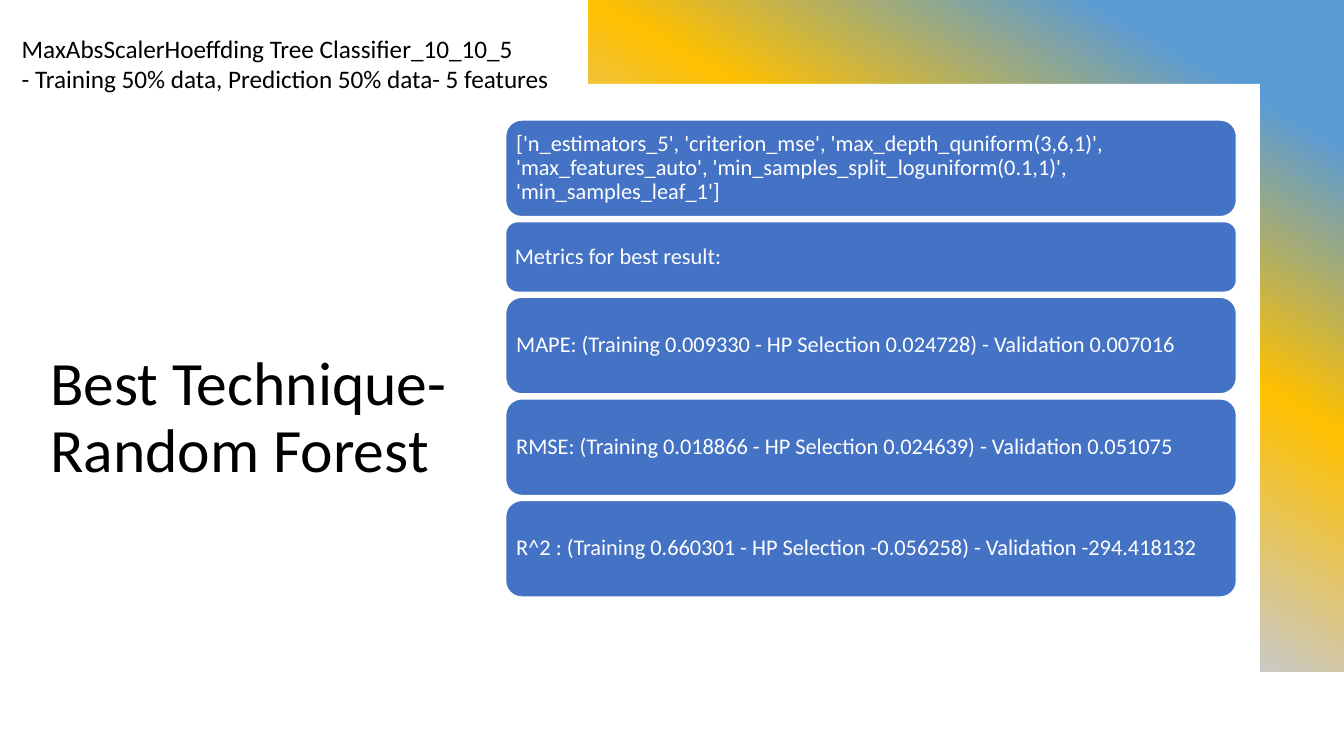
from lxml.etree import SubElement
from pptx import Presentation
from pptx.dml.color import RGBColor
from pptx.enum.shapes import MSO_SHAPE
from pptx.enum.text import MSO_ANCHOR, PP_ALIGN
from pptx.oxml.ns import qn
from pptx.util import Inches, Pt

THEME = {
    "font": "Calibri",
    "black": RGBColor.from_string("000000"),
    "white": RGBColor.from_string("FFFFFF"),
    "card": RGBColor.from_string("4472C4"),
    "gradient": [(10, "5B9BD5"), (30, "FFC000"), (50, "C9C9C9"), (70, "ED7D31"), (90, "4472C4")],
    "title": Pt(44),
    "caption": Pt(18),
    "body": Pt(16),
}

presentation = Presentation()
presentation.slide_width = Inches(13.33)
presentation.slide_height = Inches(7.5)
slide = presentation.slides.add_slide(presentation.slide_layouts[6])
shapes = slide.shapes

COLUMNS = 16
UNIT = presentation.slide_width / COLUMNS


def grid(*units):
    return [round(value * UNIT) for value in units]


def write(shape, text, size, color, anchor, spacing):
    frame = shape.text_frame
    frame.word_wrap = True
    frame.vertical_anchor = anchor
    frame.text = text
    for paragraph in frame.paragraphs:
        paragraph.alignment = PP_ALIGN.LEFT
        paragraph.line_spacing = spacing
        paragraph.font.name = THEME["font"]
        paragraph.font.size = size
        paragraph.font.color.rgb = color


backdrop = shapes.add_shape(MSO_SHAPE.RECTANGLE, *grid(0, 0, COLUMNS, 8))
backdrop.shadow.inherit = False
backdrop.line.fill.background()
backdrop.fill.gradient()
backdrop.fill.gradient_angle = 240
stops = backdrop.element.spPr.find(qn("a:gradFill")).find(qn("a:gsLst"))
for stop in list(stops):
    stops.remove(stop)
for percent, color in THEME["gradient"]:
    stop = SubElement(stops, qn("a:gs"), pos=str(percent * 1000))
    SubElement(stop, qn("a:srgbClr"), val=color)

builder = shapes.build_freeform(0, 0, scale=UNIT)
builder.add_line_segments([(7, 0), (7, 1), (15, 1), (15, 8.1), (0, 8.1)], close=True)
panel = builder.convert_to_shape()
panel.shadow.inherit = False
panel.fill.solid()
panel.fill.fore_color.rgb = THEME["white"]
panel.line.fill.background()

title = shapes.add_textbox(*grid(0.48, 2.17, 6.01, 3.67))
write(title, "Best Technique- Random Forest", THEME["title"], THEME["black"], MSO_ANCHOR.BOTTOM, 0.9)

CARD_LEFT, CARD_WIDTH, CARD_GAP, CARD_INSET = 6.02, 8.7, 0.06, 0.14
TALL, SHORT = 1.15, 0.84
cards = [
    (TALL, "['n_estimators_5', 'criterion_mse', 'max_depth_quniform(3,6,1)', "
           "'max_features_auto', 'min_samples_split_loguniform(0.1,1)', 'min_samples_leaf_1']"),
    (SHORT, "Metrics for best result:"),
    (TALL, "MAPE: (Training 0.009330 - HP Selection 0.024728) - Validation 0.007016"),
    (TALL, "RMSE: (Training 0.018866 - HP Selection 0.024639) - Validation 0.051075"),
    (TALL, "R^2 : (Training 0.660301 - HP Selection -0.056258) - Validation -294.418132"),
]
top = 1.43
for height, text in cards:
    card = shapes.add_shape(MSO_SHAPE.ROUNDED_RECTANGLE, *grid(CARD_LEFT, top, CARD_WIDTH, height))
    card.shadow.inherit = False
    card.fill.solid()
    card.fill.fore_color.rgb = THEME["card"]
    card.line.color.rgb = THEME["white"]
    card.line.width = Pt(1)
    frame = card.text_frame
    frame.margin_left, frame.margin_right = grid(CARD_INSET / 2, CARD_INSET / 2)
    frame.margin_top = frame.margin_bottom = 0
    write(card, text, THEME["body"], THEME["white"], MSO_ANCHOR.MIDDLE, 0.9)
    top += height + CARD_GAP

caption = shapes.add_textbox(*grid(0.14, 0.34, 8, 0.85))
write(
    caption,
    "MaxAbsScalerHoeffding Tree Classifier_10_10_5\n- Training 50% data, Prediction 50% data- 5 features",
    THEME["caption"], THEME["black"], MSO_ANCHOR.TOP, 1.0,
)

presentation.save("out.pptx")
